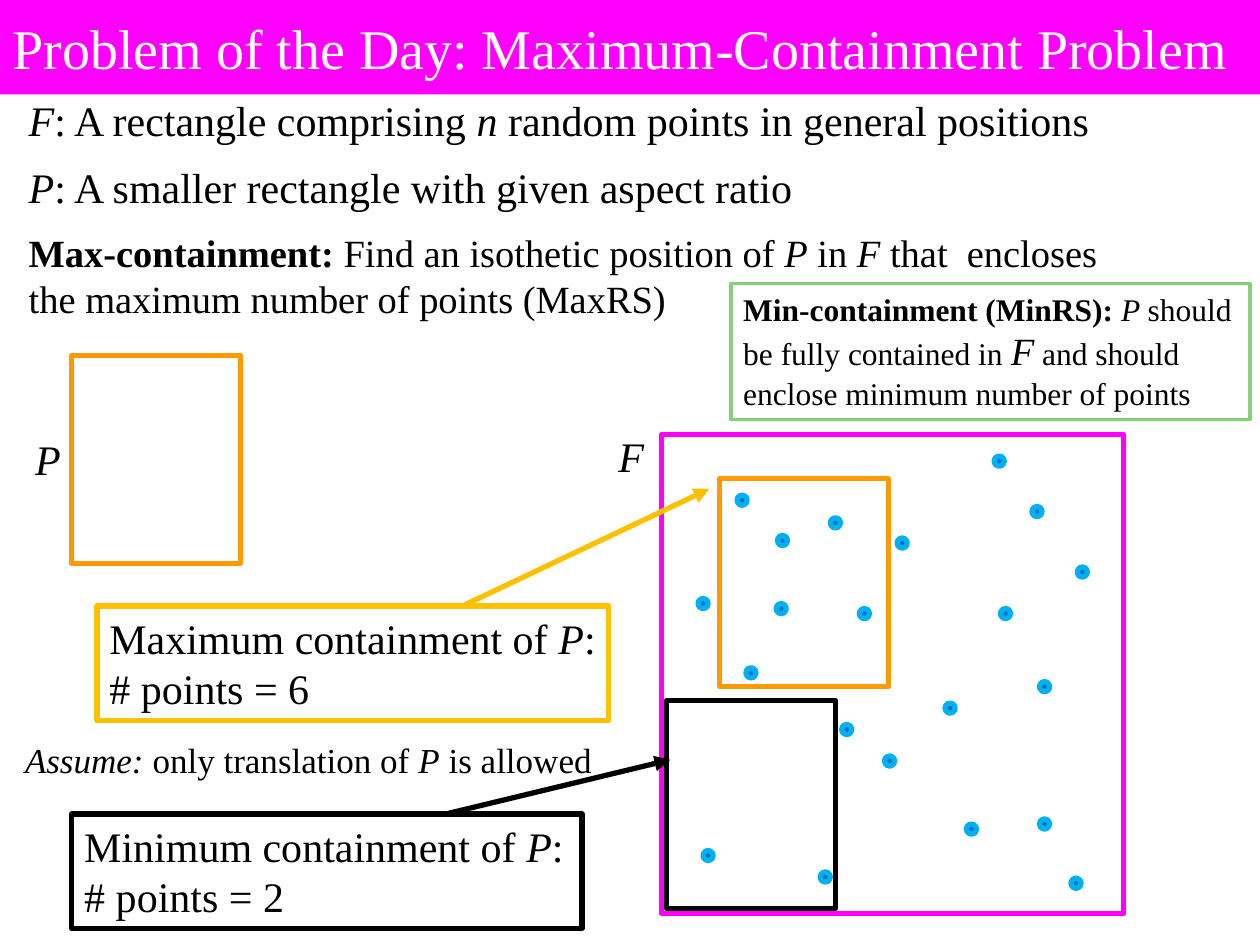
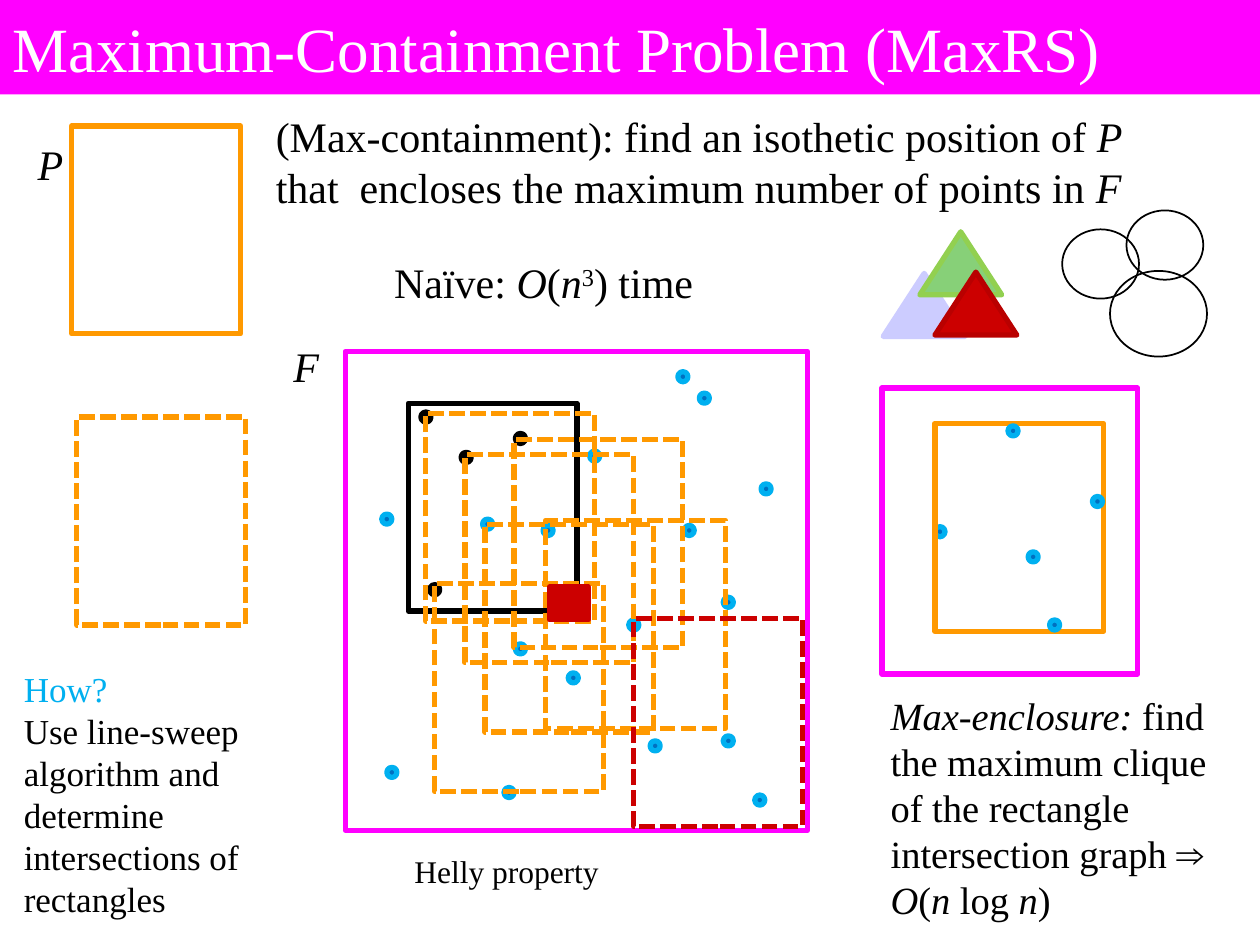
from dataclasses import dataclass
from typing import NamedTuple, Optional

from lxml import etree
from pptx import Presentation
from pptx.dml.color import RGBColor
from pptx.enum.dml import MSO_LINE
from pptx.enum.shapes import MSO_CONNECTOR, MSO_SHAPE
from pptx.enum.text import MSO_ANCHOR, MSO_AUTO_SIZE, PP_ALIGN
from pptx.oxml.ns import qn
from pptx.util import Inches, Pt

RECT, OVAL, TRIANGLE = MSO_SHAPE.RECTANGLE, MSO_SHAPE.OVAL, MSO_SHAPE.ISOSCELES_TRIANGLE
DASH = MSO_LINE.SQUARE_DOT
STRAIGHT = MSO_CONNECTOR.STRAIGHT
MIDDLE, TOP = MSO_ANCHOR.MIDDLE, MSO_ANCHOR.TOP
LEFT = PP_ALIGN.LEFT
GROW, FIXED = MSO_AUTO_SIZE.SHAPE_TO_FIT_TEXT, MSO_AUTO_SIZE.NONE

COLORS = {
    "white": "FFFFFF", "black": "000000", "magenta": "FF00FF",
    "orange": "FF9900", "gold": "FFC000", "sky": "00B0F0", "blue": "0070C0",
    "green": "87D078", "lime": "92D050", "lilac": "CCCCFF",
    "red": "CC0000", "dark red": "B90000",
}
FONT = "Times New Roman"
P_SIZE = (1.34, 1.65)
F_SIZE = (3.67, 3.8)
DOT = 0.08


class Run(NamedTuple):
    text: str
    italic: bool = False
    bold: bool = False
    size: Optional[float] = None
    baseline: int = 0


@dataclass
class Para:
    """Text in which _underscores_ enclose italics, or a list of runs."""
    content: str | list[Run]
    size: float = 24
    color: str = "black"
    before: float = 0

    def runs(self) -> list[Run]:
        if isinstance(self.content, str):
            parts = self.content.split("_")
            return [Run(t, i % 2 == 1) for i, t in enumerate(parts) if t]
        return self.content


@dataclass
class Box:
    left: float
    top: float
    width: float
    height: float
    line: Optional[str] = None
    fill: Optional[str] = None
    kind: int = RECT
    weight: float = 3
    dash: Optional[int] = None


def rgb(name: str) -> RGBColor:
    return RGBColor.from_string(COLORS[name])


def apply(target, values: dict) -> None:
    for key, value in values.items():
        setattr(target, key, value)


def write(tf, paras: list[Para], anchor=TOP, auto_size=GROW) -> None:
    apply(tf, {"word_wrap": True, "auto_size": auto_size, "vertical_anchor": anchor})
    for i, para in enumerate(paras):
        p = tf.paragraphs[0] if i == 0 else tf.add_paragraph()
        apply(p, {"alignment": LEFT, "space_before": Pt(para.before)})
        for run in para.runs():
            r = p.add_run()
            r.text = run.text
            apply(r.font, {"name": FONT, "size": Pt(run.size or para.size),
                           "italic": run.italic, "bold": run.bold})
            r.font.color.rgb = rgb(para.color)
            if run.baseline:
                r.font._element.set("baseline", str(run.baseline * 1000))


def draw(s, box: Box):
    sp = s.shapes.add_shape(box.kind, Inches(box.left), Inches(box.top),
                            Inches(box.width), Inches(box.height))
    sp.shadow.inherit = False
    for part, color in ((sp.fill, box.fill), (sp.line.fill, box.line)):
        if color:
            part.solid()
            part.fore_color.rgb = rgb(color)
        else:
            part.background()
    if box.line:
        apply(sp.line, {"width": Pt(box.weight), "dash_style": box.dash})
    return sp


def text(s, left: float, top: float, width: float, height: float, *paras: Para) -> None:
    tb = s.shapes.add_textbox(Inches(left), Inches(top), Inches(width), Inches(height))
    write(tb.text_frame, list(paras))


def callout(s, box: Box, para: Para) -> None:
    write(draw(s, box).text_frame, [para])


def title(s, words: str, size: float) -> None:
    sp = draw(s, Box(0, 0, 10, 0.75, fill="magenta"))
    write(sp.text_frame, [Para(words, size, "white")], MIDDLE, FIXED)


def dots(s, places: list[tuple[float, float]], fill="blue", line="sky") -> None:
    for left, top in places:
        draw(s, Box(left, top, DOT, DOT, line, fill, OVAL))


def small_rect(s, left: float, top: float, line="orange", dash=None) -> None:
    draw(s, Box(left, top, *P_SIZE, line, dash=dash))


def label(s, letter: str, left: float, top: float) -> None:
    text(s, left, top, 0.62, 0.5, Para(f"_{letter}_"))


def arrow(s, start: tuple[float, float], end: tuple[float, float], color: str) -> None:
    cn = s.shapes.add_connector(STRAIGHT, *map(Inches, start + end))
    cn.line.color.rgb = rgb(color)
    cn.line.width = Pt(3)
    etree.SubElement(cn.line._get_or_add_ln(), qn("a:tailEnd"), type="triangle")
    etree.SubElement(cn._element.spPr, qn("a:effectLst"))


def problem_slide(s) -> None:
    title(s, "Problem of the Day: Maximum-Containment Problem", 32)

    # Field F with its random points
    draw(s, Box(5.25, 3.45, *F_SIZE, "magenta"))
    dots(s, [(6.59, 4.11), (6.51, 6.92), (5.92, 5.3), (7.12, 4.27), (6.68, 5.75),
             (7.94, 4.83), (7.02, 6), (6.82, 4.83), (8.25, 5.41), (7.5, 5.58),
             (7.67, 6.54), (8.25, 6.5), (8.19, 4.02), (6.17, 4.25), (5.58, 6.75),
             (5.85, 3.93), (6.16, 4.79), (5.54, 4.75), (8.55, 4.5), (7.89, 3.62),
             (8.5, 6.97)])
    small_rect(s, 5.71, 3.8)
    small_rect(s, 0.57, 2.82)

    # Definitions
    text(s, 0.13, 0.7, 9.06, 1.99,
         Para("_F_: A rectangle comprising _n_ random points in general positions"),
         Para("_P_: A smaller rectangle with given aspect ratio", before=9.6),
         Para([Run("Max-containment:", bold=True), Run(" Find an isothetic position of "),
               Run("P", True), Run(" in "), Run("F", True),
               Run(" that  encloses the maximum number of points (MaxRS)")],
              22, before=9.6))
    label(s, "P", 0.18, 3.39)
    label(s, "F", 4.81, 3.37)
    text(s, 0.1, 5.81, 4.78, 0.44,
         Para("_Assume:_ only translation of _P_ is allowed", 20))

    # Best and worst positions of P
    callout(s, Box(0.77, 4.81, 4.06, 0.91, "gold"),
            Para("Maximum containment of _P_: # points = 6"))
    arrow(s, (3.69, 4.8), (5.63, 3.88), "gold")
    small_rect(s, 5.29, 5.56, "black")
    callout(s, Box(0.57, 6.46, 4.05, 0.91, "black"),
            Para("Minimum containment of _P_: # points = 2"))
    arrow(s, (3.54, 6.46), (5.32, 6.03), "black")
    callout(s, Box(5.8, 2.25, 4.12, 1.08, "green", weight=2.25),
            Para([Run("Min-containment (MinRS): ", bold=True), Run("P ", True),
                  Run("should be fully contained in "), Run("F", True, size=22),
                  Run(" and should enclose minimum number of points")], 18))


def maxrs_slide(s) -> None:
    title(s, "Maximum-Containment Problem (MaxRS)", 36)

    # Field F, with the points that share a clique in black
    draw(s, Box(2.74, 2.79, *F_SIZE, "magenta"))
    dots(s, [(4.09, 3.44), (3.41, 4.64), (3.66, 3.59), (3.34, 3.27)], "black", "black")
    dots(s, [(4, 6.25), (4.68, 3.58), (4.09, 5.11), (5.43, 4.17), (4.51, 5.34),
             (4.31, 4.17), (5.74, 4.74), (4.99, 4.92), (5.16, 5.88), (5.74, 5.84),
             (3.07, 6.09), (3.83, 4.12), (3.03, 4.08), (6.04, 3.84), (5.38, 2.95),
             (5.99, 6.31)])
    small_rect(s, 3.24, 3.2, "black")
    small_rect(s, 0.57, 1)
    text(s, 2.09, 0.83, 7.39, 0.91,
         Para("(Max-containment): find an isothetic position of _P_ that  encloses "
              "the maximum number of points in _F_"))
    label(s, "P", 0.2, 1.05)
    label(s, "F", 2.23, 2.65)

    # Dashed rectangles and their common intersection
    for left, top in [(4.08, 3.49), (3.38, 3.28), (0.61, 3.31), (3.69, 3.61), (3.45, 4.63)]:
        small_rect(s, left, top, dash=DASH)
    draw(s, Box(4.33, 4.13, 1.43, 1.65, "orange", dash=DASH))
    small_rect(s, 3.85, 4.16, dash=DASH)
    draw(s, Box(4.36, 4.66, 0.31, 0.26, "red", "red"))

    # Complexity and method
    text(s, 3.03, 1.99, 3.56, 0.5,
         Para([Run("Naïve: "), Run("O", True), Run("("), Run("n", True),
               Run("3", baseline=30), Run(") time")]))
    text(s, 0.09, 5.25, 2.85, 2.12, Para("How?", 20, "sky"),
         Para("Use line-sweep algorithm and determine", 20),
         Para("intersections of rectangles", 20))

    # Max-enclosure example
    dots(s, [(5.55, 3.12), (7.42, 4.18)])
    small_rect(s, 7.42, 3.36)
    dots(s, [(8, 3.38), (8.67, 3.94), (8.33, 4.92)])
    draw(s, Box(7, 3.08, 2.03, 2.27, "magenta"))
    dots(s, [(8.16, 4.38)])
    small_rect(s, 5.03, 4.91, "red", DASH)
    text(s, 6.97, 5.44, 2.92, 1.95,
         Para("_Max-enclosure:_ find the maximum clique of the rectangle "
              "intersection graph ⇒ _O_(_n_ log _n_)", 22))

    # Helly property: triangles and circles
    for left, top, fill, line in [(7.01, 2.17, "lilac", "lilac"),
                                  (7.3, 1.84, "green", "lime"),
                                  (7.42, 2.16, "red", "dark red")]:
        draw(s, Box(left, top, 0.65, 0.5, line, fill, TRIANGLE))
    text(s, 3.19, 6.71, 1.71, 0.4, Para("Helly property", 18))
    for place in [(8.43, 1.82, 0.61, 0.55), (8.94, 1.67, 0.61, 0.55),
                  (8.81, 2.15, 0.77, 0.68)]:
        draw(s, Box(*place, "black", kind=OVAL, weight=1))


def main() -> None:
    prs = Presentation()
    prs.slide_width, prs.slide_height = Inches(10), Inches(7.5)
    for build in (problem_slide, maxrs_slide):
        build(prs.slides.add_slide(prs.slide_layouts[6]))
    prs.save("out.pptx")


if __name__ == "__main__":
    main()
